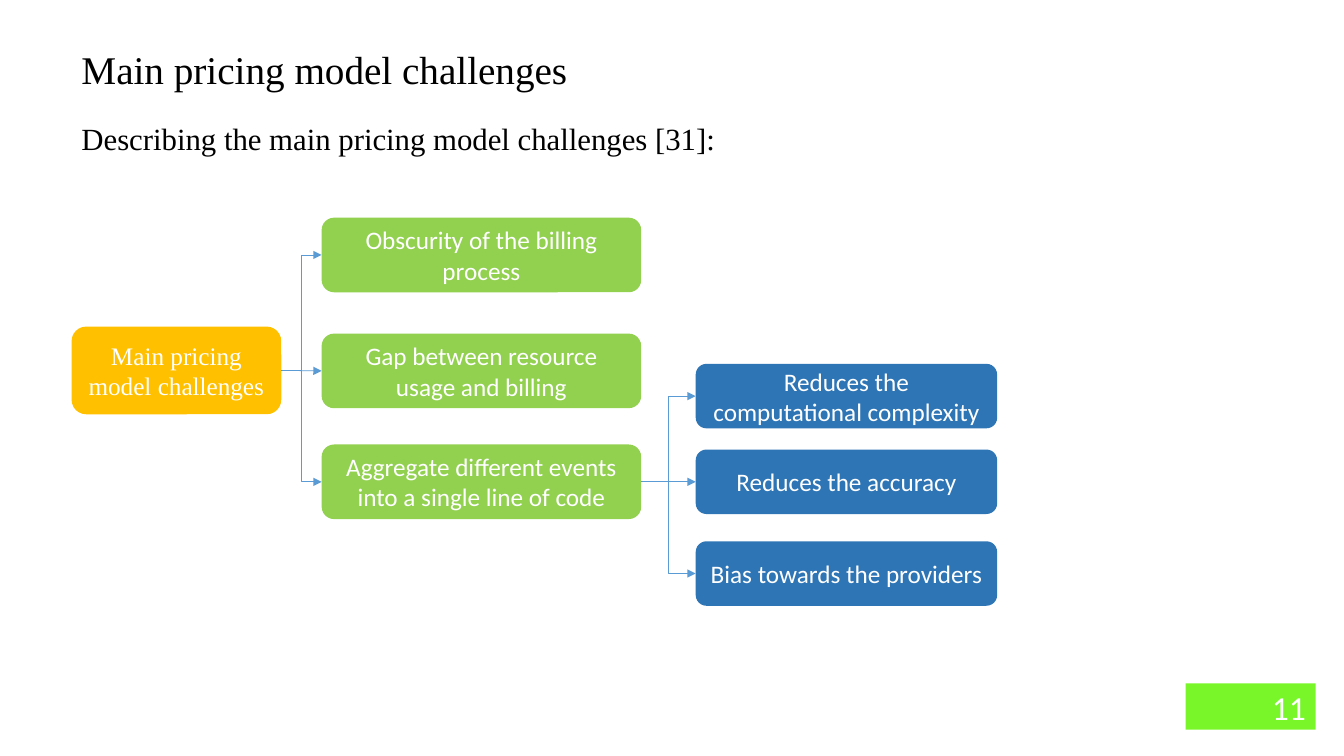
from lxml import etree
from pptx import Presentation
from pptx.dml.color import RGBColor
from pptx.enum.shapes import MSO_CONNECTOR as Route, MSO_SHAPE as Preset
from pptx.enum.text import MSO_ANCHOR as Anchor, MSO_AUTO_SIZE as AutoSize, PP_ALIGN as Align
from pptx.oxml.ns import qn
from pptx.util import Emu, Pt

EMU_PER_PX = 9144
SERIF, SANS = "Times New Roman", "Calibri"
LEFT_SITE, RIGHT_SITE = 1, 3
COLORS = {
    "ink": "000000", "white": "FFFFFF", "root": "FFC000", "challenge": "92D050",
    "effect": "2E75B6", "arrow": "5B9BD5", "number": "78F62A",
}
CHALLENGES = [
    (216, "Obscurity of the billing process"),
    (331, "Gap between resource usage and billing"),
    (441, "Aggregate different events into a single line of code"),
]
EFFECTS = [
    (361, "Reduces the computational complexity"),
    (446, "Reduces the accuracy"),
    (537, "Bias towards the providers"),
]


def px(*lengths):
    """Turn pixel lengths into EMU."""
    return [Emu(length * EMU_PER_PX) for length in lengths]


def color(name):
    """Look up a named colour."""
    return RGBColor.from_string(COLORS[name])


def write(frame, words, size, font, ink, align):
    """Write one run into the first paragraph of a text frame."""
    frame.word_wrap = True
    line = frame.paragraphs[0]
    line.alignment = align
    run = line.add_run()
    run.text = words
    run.font.size = Pt(size)
    run.font.name = font
    run.font.color.rgb = color(ink)


def add_heading(slide, box, words, size):
    """Place a justified serif text line in its box."""
    heading = slide.shapes.add_textbox(*px(*box))
    heading.text_frame.auto_size = AutoSize.SHAPE_TO_FIT_TEXT
    write(heading.text_frame, words, size, SERIF, "ink", Align.JUSTIFY)


def add_node(slide, box, words, fill, font=SANS, size=18,
             preset=Preset.ROUNDED_RECTANGLE, align=Align.CENTER):
    """Place a filled box with white text and return it."""
    node = slide.shapes.add_shape(preset, *px(*box))
    node.shadow.inherit = False
    node.fill.solid()
    node.fill.fore_color.rgb = color(fill)
    node.line.fill.background()
    node.text_frame.vertical_anchor = Anchor.MIDDLE
    write(node.text_frame, words, size, font, "white", align)
    return node


def add_arrow(slide, parent, child, route):
    """Join the right side of parent to the left side of child."""
    arrow = slide.shapes.add_connector(route, 0, 0, 0, 0)
    arrow.begin_connect(parent, RIGHT_SITE)
    arrow.end_connect(child, LEFT_SITE)
    arrow.line.color.rgb = color("arrow")
    arrow.line.width = Pt(0.5)
    etree.SubElement(arrow.line._get_or_add_ln(), qn("a:tailEnd"), type="triangle")
    etree.SubElement(arrow._element.spPr, qn("a:effectLst"))


def add_branch(slide, parent, column, entries, fill):
    """Stack three child nodes in a column, joined to their parent."""
    left, width, height = column
    children = [add_node(slide, (left, top, width, height), words, fill)
                for top, words in entries]
    for child, route in zip(children, (Route.ELBOW, Route.STRAIGHT, Route.ELBOW)):
        add_arrow(slide, parent, child, route)
    return children


def add_challenge_tree(slide, box):
    """Draw the tree from the root through challenges to effects."""
    left, top, width, height = box
    root = add_node(slide, (left, top, width, height),
                    "Main pricing model challenges", "root", SERIF)
    challenges = add_branch(slide, root, (left + 248, 317, 74), CHALLENGES, "challenge")
    add_branch(slide, challenges[-1], (left + 619, 299, 64), EFFECTS, "effect")


def main():
    """Build the slide and save it."""
    deck = Presentation()
    deck.slide_width, deck.slide_height = px(1333, 750)
    slide = deck.slides.add_slide(deck.slide_layouts[6])
    add_node(slide, (1176, 678, 129, 46), "11", "number", size=24,
             preset=Preset.RECTANGLE, align=Align.RIGHT)
    add_heading(slide, (71, 40, 1234, 57), "Main pricing model challenges", 28)
    add_heading(slide, (71, 114, 1183, 47),
                "Describing the main pricing model challenges [31]:", 22)
    add_challenge_tree(slide, (71, 324, 208, 87))
    deck.save("out.pptx")


if __name__ == "__main__":
    main()
